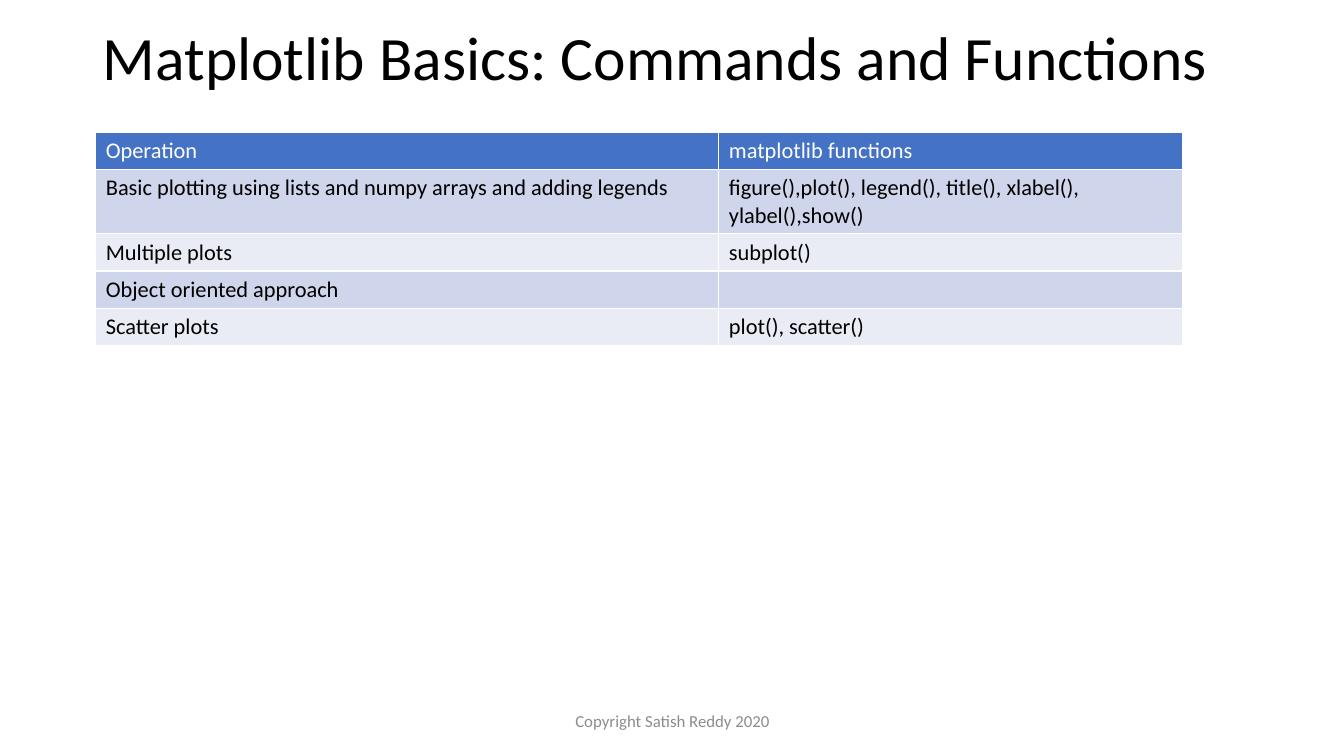
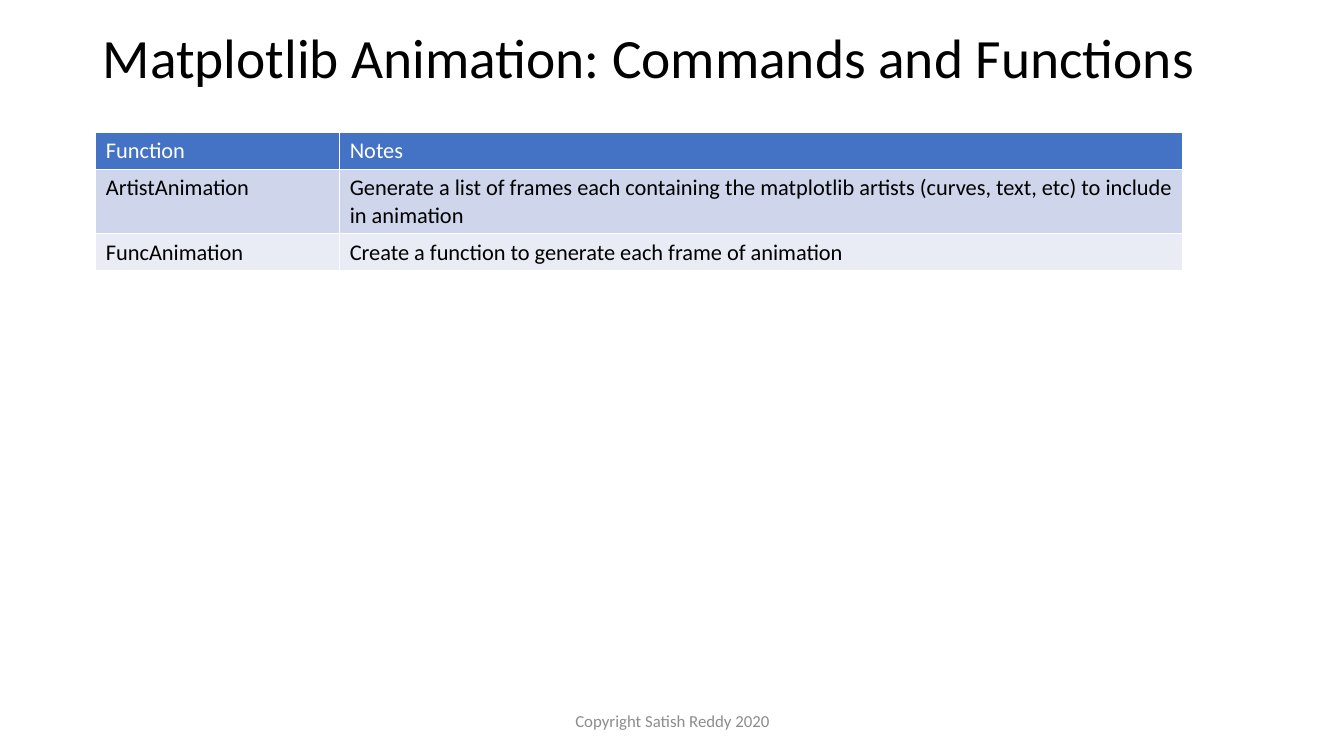
from lxml import etree
from pptx import Presentation
from pptx.dml.color import RGBColor
from pptx.enum.text import MSO_ANCHOR, PP_ALIGN
from pptx.oxml.ns import qn
from pptx.util import Inches, Pt

LEFT = PP_ALIGN.LEFT
CENTER = PP_ALIGN.CENTER
MIDDLE = MSO_ANCHOR.MIDDLE

FONT = "Calibri"
BLACK = "000000"
WHITE = "FFFFFF"
GRAY = "8C8C8C"
HEADER_FILL = "4472C4"
BAND_FILLS = ["E9EBF5", "CFD5EA"]
FOOTER = "Copyright Satish Reddy 2020"
TABLE_WIDTH = 10.78
ROW_HEIGHT = 0.37
TALL_ROW_HEIGHT = 0.64
TALL_ROW = 1


def color(value):
    return RGBColor.from_string(value)


def write(text_frame, text, size, text_color, alignment=LEFT):
    text_frame.text = text
    text_frame.word_wrap = True
    paragraph = text_frame.paragraphs[0]
    paragraph.alignment = alignment
    for run in paragraph.runs:
        run.font.name = FONT
        run.font.size = Pt(size)
        run.font.bold = False
        run.font.color.rgb = color(text_color)
    if not text:
        end_properties = etree.SubElement(paragraph._p, qn("a:endParaRPr"))
        end_properties.set("sz", str(size * 100))
    return paragraph


slides = [
    {
        "title": "Matplotlib Basics: Commands and Functions",
        "title_size": 44,
        "first_column": 6.18,
        "rows": [
            ("Operation", "matplotlib functions"),
            ("Basic plotting using lists and numpy arrays and adding legends",
             "figure(),plot(), legend(), title(), xlabel(), ylabel(),show()"),
            ("Multiple plots", "subplot()"),
            ("Object oriented approach", ""),
            ("Scatter plots", "plot(), scatter()"),
        ],
    },
    {
        "title": "Matplotlib Animation: Commands and Functions",
        "title_size": 39.6,
        "first_column": 2.42,
        "rows": [
            ("Function", "Notes"),
            ("ArtistAnimation",
             "Generate a list of frames each containing the matplotlib artists "
             "(curves, text, etc) to include in animation"),
            ("FuncAnimation", "Create a function to generate each frame of animation"),
        ],
    },
]

presentation = Presentation()
presentation.slide_width = Inches(13.33)
presentation.slide_height = Inches(7.5)
title_only = presentation.slide_layouts[5]

for content in slides:
    slide = presentation.slides.add_slide(title_only)

    title = slide.shapes.title
    title.left, title.top = Inches(0.92), Inches(0.12)
    title.width, title.height = Inches(11.5), Inches(0.97)
    title.text_frame.vertical_anchor = MIDDLE
    paragraph = write(title.text_frame, content["title"], content["title_size"], BLACK)
    paragraph.line_spacing = 0.9

    footer = slide.shapes.add_textbox(Inches(4.42), Inches(6.95), Inches(4.5), Inches(0.4))
    footer.text_frame.vertical_anchor = MIDDLE
    write(footer.text_frame, FOOTER, 12, GRAY, CENTER)

    rows = content["rows"]
    heights = [TALL_ROW_HEIGHT if index == TALL_ROW else ROW_HEIGHT for index in range(len(rows))]
    table = slide.shapes.add_table(
        len(rows), 2, Inches(0.95), Inches(1.31), Inches(TABLE_WIDTH), Inches(sum(heights))
    ).table
    table.columns[0].width = Inches(content["first_column"])
    table.columns[1].width = Inches(TABLE_WIDTH - content["first_column"])

    for row_index, row in enumerate(rows):
        table.rows[row_index].height = Inches(heights[row_index])
        is_header = row_index == 0
        for column_index, text in enumerate(row):
            cell = table.cell(row_index, column_index)
            cell.fill.solid()
            cell.fill.fore_color.rgb = color(HEADER_FILL if is_header else BAND_FILLS[row_index % 2])
            write(cell.text_frame, text, 16, WHITE if is_header else BLACK)

presentation.save("out.pptx")
